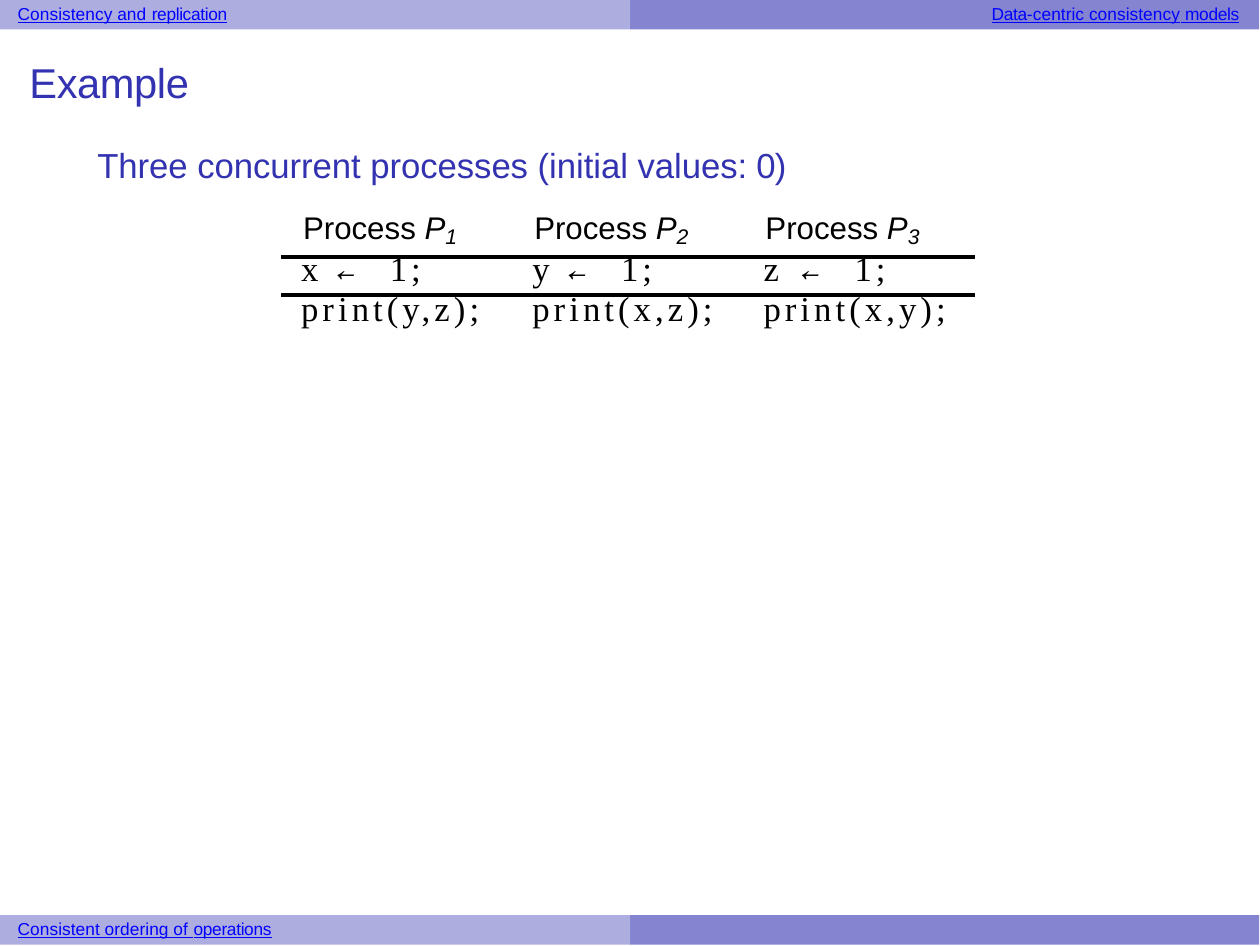
from lxml import etree
from pptx import Presentation
from pptx.dml.color import RGBColor
from pptx.enum import shapes
from pptx.oxml import ns
from pptx.util import Cm, Pt

WIDTH, HEIGHT, BAND = 12.8, 9.6, 0.3
NO_STYLE = "{2D5ABB26-0587-4C30-8999-92F81FD0307C}"


def write(para, pieces, size, color, indent, font="Arial"):
    """Fill a paragraph with (text, letter spacing, settings) pieces."""
    para._p.get_or_add_pPr().set("marL", str(Cm(indent)))
    for words, spacing, settings in pieces:
        span = para.add_run()
        span.text = words
        span.font.name = settings.get("font", font)
        span.font.size = Pt(settings.get("size", size))
        span.font.color.rgb = RGBColor.from_string(color)
        span.font.italic = settings.get("italic", False)
        span.font.underline = settings.get("underline", False)
        properties = span._r.get_or_add_rPr()
        properties.set("spc", str(round(spacing * 100)))
        if "baseline" in settings:
            properties.set("baseline", str(settings["baseline"]))


def add_text_box(left, top, width, height):
    box = page.shapes.add_textbox(Cm(left), Cm(top), Cm(width), Cm(height))
    frame = box.text_frame
    frame.word_wrap = True
    frame.margin_left = frame.margin_right = frame.margin_bottom = 0
    frame.margin_top = Cm(0.03)
    return frame


# The page is 363 by 272.5 points, a hair larger than the bands
deck = Presentation()
deck.slide_width, deck.slide_height = Pt(363), Pt(272.5)
page = deck.slides.add_slide(deck.slide_layouts[6])

# Header and footer bands
for top in (0, HEIGHT - BAND):
    for left, color in ((0, "ADADE0"), (WIDTH / 2, "8484D1")):
        band = page.shapes.add_shape(
            shapes.MSO_SHAPE.RECTANGLE, Cm(left), Cm(top), Cm(WIDTH / 2), Cm(BAND))
        band.shadow.inherit = False
        band.fill.solid()
        band.fill.fore_color.rgb = RGBColor.from_string(color)
        band.line.fill.background()

# Navigation labels
labels = [
    (0.15, 0, 2.25, [("Consistency and ", 0), ("replication", -0.1)]),
    (10.05, 0, 2.65, [("Data-", -0.1), ("centric consistency", 0), (" models", -0.1)]),
    (0.15, HEIGHT - BAND, 2.75, [("Consistent ordering of ", 0), ("operations", -0.1)]),
]
for left, top, width, words in labels:
    para = add_text_box(left, top, width, 0.28).paragraphs[0]
    para.space_before = Pt(0.9)
    pieces = [(part, spacing, {"underline": True}) for part, spacing in words]
    write(para, pieces, 5, "0000FF", 0.03)

# Title and subtitle
heading = add_text_box(0.27, 0.55, 7.8, 1.37)
title = heading.paragraphs[0]
title.space_before = Pt(0.9)
write(title, [("Example", -0.1, {})], 12, "3333B2", 0.03)
subtitle = heading.add_paragraph()
subtitle.space_before = Pt(10.6)
write(subtitle, [("Three concurrent processes (initial values: ", 0, {}), ("0)", -0.2, {})],
      10, "3333B2", 0.72)

# Process table
processes = [("1", "x", "y,z"), ("2", "y", "x,z"), ("3", "z", "x,y")]
row_heights = (0.44, 0.39, 0.38)
line_heights = (10.3, 9.9, 9.6)
table = page.shapes.add_table(
    3, 3, Cm(2.86), Cm(2.17), Cm(7.05), Cm(sum(row_heights))).table
table.first_row = table.horz_banding = False
table._tbl.tblPr.find(ns.qn("a:tableStyleId")).text = NO_STYLE
for row, height in zip(table.rows, row_heights):
    row.height = Cm(height)

for column, (number, variable, printed) in enumerate(processes):
    table.columns[column].width = Cm(2.35)
    contents = [
        [("Process ", 0, {}), ("P", -0.2, {"italic": True}),
         (number, -0.4, {"italic": True, "size": 10.5, "baseline": -16000})],
        [(variable + " ", 1.5 if variable == "z" else 0.9, {}),
         ("←", 3.9, {"font": "Noto Sans Mono", "italic": True}),
         (" ", 3.9, {"italic": True}), ("1;", 1.2, {})],
        [(f"print({printed});", 1.2, {})],
    ]
    for row, pieces in enumerate(contents):
        cell = table.cell(row, column)
        cell.margin_left = cell.margin_right = cell.margin_top = cell.margin_bottom = 0
        cell.fill.background()
        para = cell.text_frame.paragraphs[0]
        para.line_spacing = Pt(line_heights[row])
        size, indent, font = (9, 0.22, "Arial") if row == 0 else (10, 0.2, "Times New Roman")
        write(para, pieces, size, "000000", indent, font)

        # Rules between the rows
        sides = [side for side, shown in (("a:lnT", row > 0), ("a:lnB", row < 2)) if shown]
        for position, side in enumerate(sides):
            rule = etree.Element(ns.qn(side), w=str(Pt(1.5)))
            fill = etree.SubElement(rule, ns.qn("a:solidFill"))
            etree.SubElement(fill, ns.qn("a:srgbClr"), val="000000")
            cell._tc.get_or_add_tcPr().insert(position, rule)

deck.save("out.pptx")
